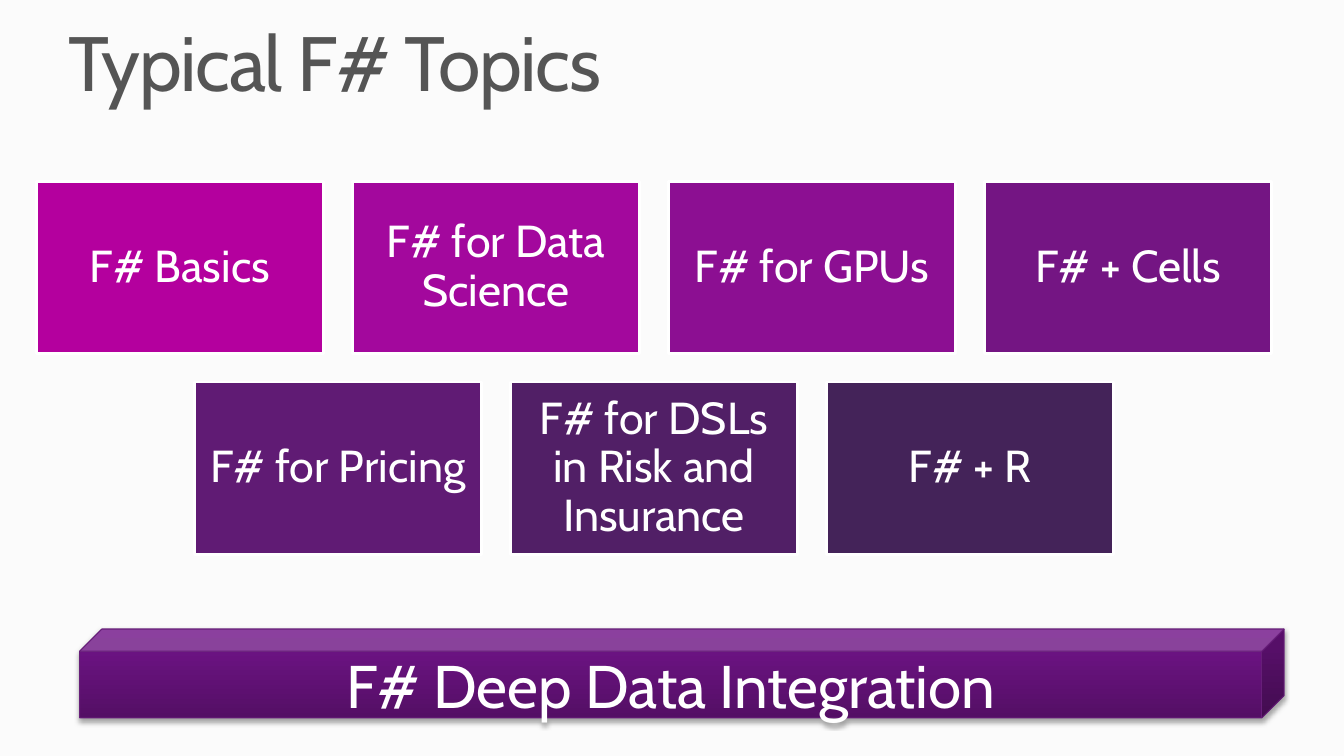
"""Builds the slide of typical F# topics."""
from copy import deepcopy
from dataclasses import dataclass

from lxml import etree
from pptx import Presentation
from pptx.dml.color import RGBColor
from pptx.enum import shapes, text
from pptx.oxml import ns
from pptx.util import Pt


@dataclass(frozen=True)
class Theme:
    """Colours, font and type sizes of the slide."""
    font: str = "Cabin"
    background: str = "FBFBFB"
    title: str = "555555"
    light: str = "FFFFFF"
    bar_line: str = "671E79"
    bar_stops: tuple = ((0, "540F65"), (0.8, "6C1383"), (1, "6E1186"))
    shadow: str = "000000"
    title_size: int = 55
    tile_size: int = 32
    bar_size: int = 43


THEME = Theme()
TOPIC_ROWS = (
    (("F# Basics", "B4009E"), ("F# for Data Science", "A3089D"),
     ("F# for GPUs", "8C0F92"), ("F# + Cells", "741583")),
    (("F# for Pricing", "601B74"), ("F# for DSLs in Risk and Insurance", "511F66"),
     ("F# + R", "442359")),
)
TILE_WIDTH, TILE_HEIGHT = 205.2, 123.1
COLUMN_STEP, ROW_STEP = 225.8, 143.3
GRID_LEFT, GRID_TOP = 25.9, 129.6


def write(shape, wording, size, color, margins, alignment, spacing=None):
    """Put one formatted paragraph into a shape and return its run."""
    frame = shape.text_frame
    frame.word_wrap = True
    frame.margin_left = frame.margin_right = Pt(margins[0])
    frame.margin_top = frame.margin_bottom = Pt(margins[1])
    frame.text = wording
    paragraph = frame.paragraphs[0]
    paragraph.alignment = alignment
    paragraph.line_spacing = spacing
    run = paragraph.runs[0]
    run.font.name = THEME.font
    run.font.size = Pt(size)
    run.font.color.rgb = RGBColor.from_string(color)
    return run


def add_block(slide, kind, box, line_color, line_width):
    """Add an outlined preset shape with vertically centred text."""
    shape = slide.shapes.add_shape(kind, *map(Pt, box))
    shape.shadow.inherit = False
    shape.line.color.rgb = RGBColor.from_string(line_color)
    shape.line.width = Pt(line_width)
    shape.text_frame.vertical_anchor = text.MSO_ANCHOR.MIDDLE
    return shape


def add_title(slide, wording):
    """Add the slide heading with slightly tightened letters."""
    box = slide.shapes.add_textbox(Pt(49), Pt(18), Pt(861), Pt(60))
    run = write(box, wording, THEME.title_size, THEME.title, (0, 0),
                text.PP_ALIGN.LEFT, 0.9)
    run.font._element.set("spc", "-100")


def add_tile(slide, wording, color, left, top):
    """Add one coloured topic tile."""
    tile = add_block(slide, shapes.MSO_SHAPE.RECTANGLE,
                     (left, top, TILE_WIDTH, TILE_HEIGHT), THEME.light, 2)
    tile.fill.solid()
    tile.fill.fore_color.rgb = RGBColor.from_string(color)
    write(tile, wording, THEME.tile_size, THEME.light, (9.6, 9.6),
          text.PP_ALIGN.CENTER, 0.9)


def add_topics(slide):
    """Lay out the tiles, centring every row on the widest one."""
    widest = max(map(len, TOPIC_ROWS))
    for row, topics in enumerate(TOPIC_ROWS):
        indent = (widest - len(topics)) / 2
        for column, (wording, color) in enumerate(topics):
            add_tile(slide, wording, color,
                     GRID_LEFT + (indent + column) * COLUMN_STEP,
                     GRID_TOP + row * ROW_STEP)


def fill_gradient(shape, stops):
    """Fill a shape with a gradient running from bottom to top."""
    shape.fill.gradient()
    shape.fill.gradient_angle = 90
    stop_list = shape._element.spPr.find(".//" + ns.qn("a:gsLst"))
    while len(stop_list) < len(stops):
        stop_list.append(deepcopy(stop_list[-1]))
    for stop, (position, color) in zip(shape.fill.gradient_stops, stops):
        stop.position = position
        stop.color.rgb = RGBColor.from_string(color)


def add_shadow(shape, blur, distance, opacity):
    """Drop a soft shadow straight below a shape."""
    effects = shape._element.spPr.find(ns.qn("a:effectLst"))
    shadow = etree.SubElement(effects, ns.qn("a:outerShdw"), blurRad=str(Pt(blur)),
                              dist=str(Pt(distance)), dir="5400000", rotWithShape="0")
    color = etree.SubElement(shadow, ns.qn("a:srgbClr"), val=THEME.shadow)
    etree.SubElement(color, ns.qn("a:alpha"), val=str(opacity * 1000))


def add_bar(slide, wording):
    """Add the wide foundation bar at the foot of the slide."""
    bar = add_block(slide, shapes.MSO_SHAPE.CUBE, (56.9, 449.3, 860.4, 63.4),
                    THEME.bar_line, 0.75)
    fill_gradient(bar, THEME.bar_stops)
    add_shadow(bar, 3.1, 1.8, 35)
    write(bar, wording, THEME.bar_size, THEME.light, (9.6, 4.8), text.PP_ALIGN.CENTER)


def main():
    """Create and save the presentation."""
    presentation = Presentation()
    presentation.slide_width, presentation.slide_height = Pt(960), Pt(540)
    slide = presentation.slides.add_slide(presentation.slide_layouts[6])
    slide.background.fill.solid()
    slide.background.fill.fore_color.rgb = RGBColor.from_string(THEME.background)
    add_topics(slide)
    add_title(slide, "Typical F# Topics")
    add_bar(slide, "F# Deep Data Integration")
    presentation.save("out.pptx")


if __name__ == "__main__":
    main()
